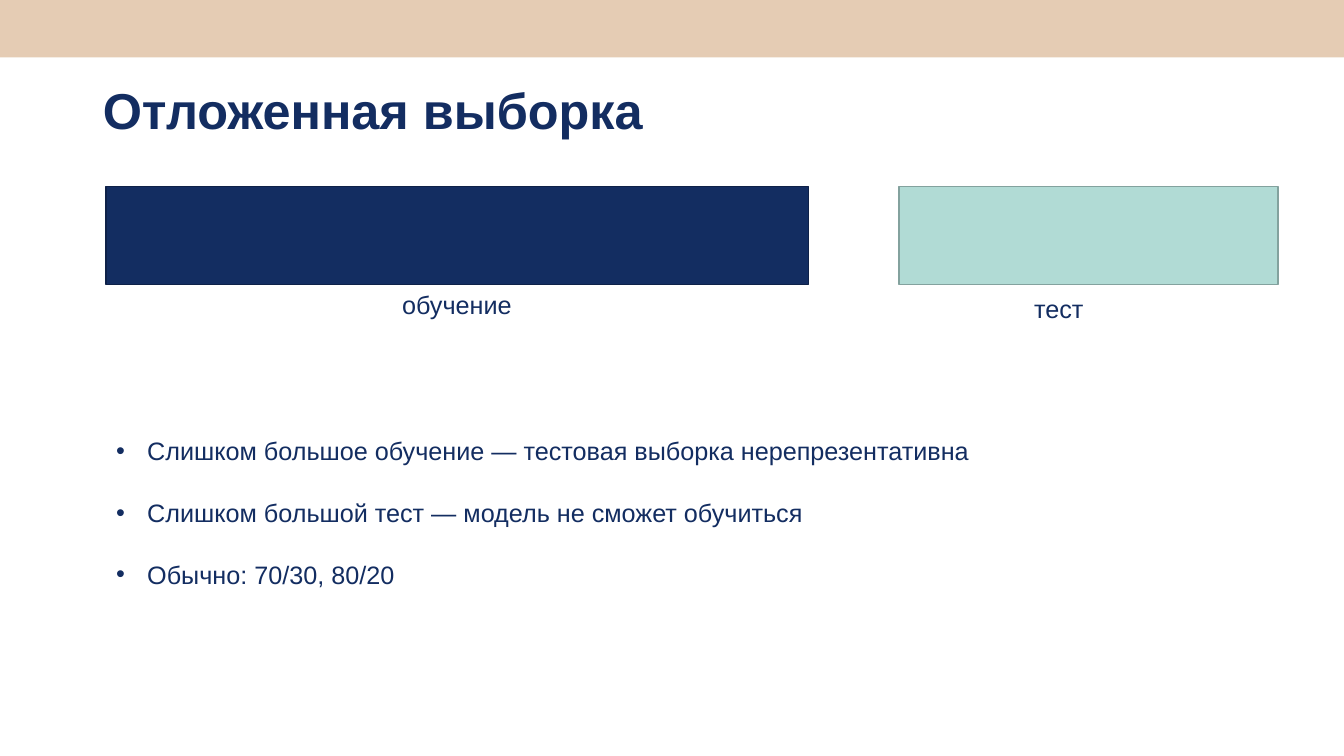
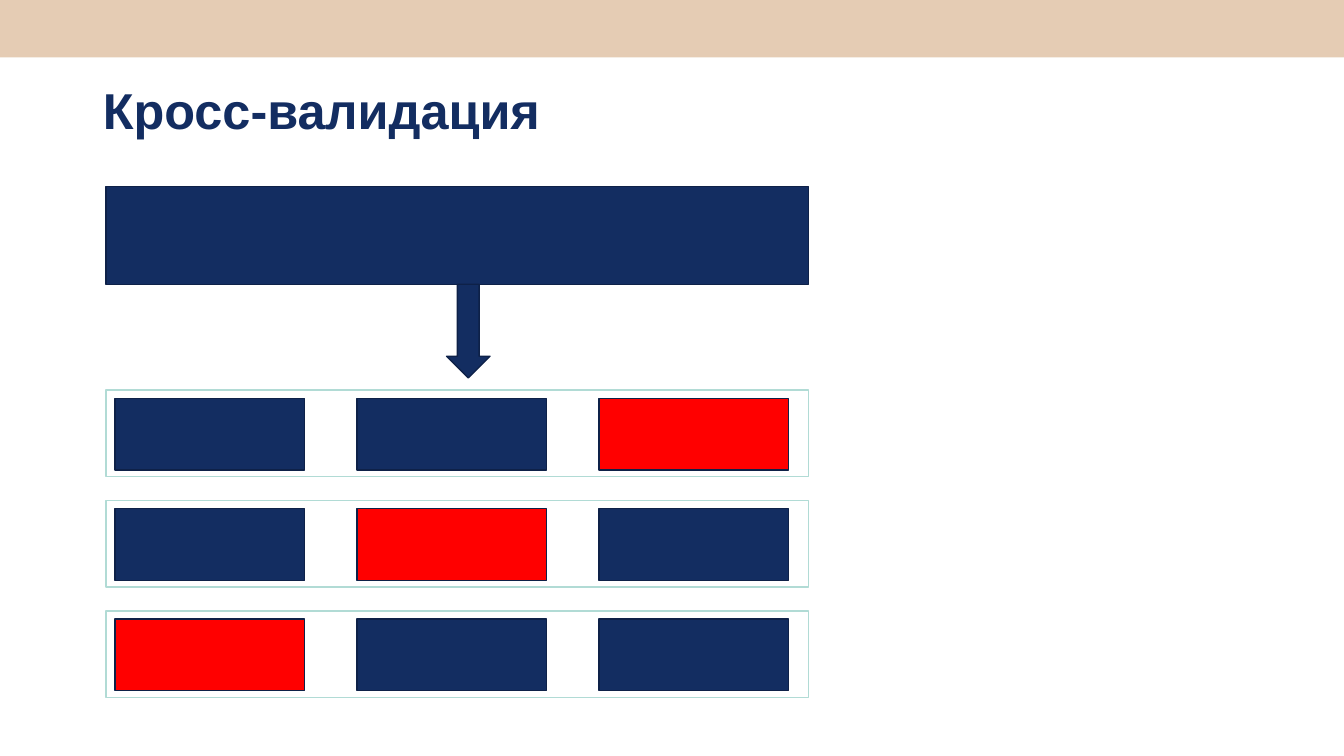
from lxml import etree
from pptx import Presentation
from pptx import util as u
from pptx.dml.color import RGBColor
from pptx.enum import shapes, text
from pptx.oxml.ns import qn

COLORS = {
    "navy": "132D61", "navy_edge": "0E2148",
    "mint": "B1DBD5", "mint_edge": "83A29E",
    "sand": "E5CCB4", "red": "FF0000", "white": "FFFFFF",
}
FONT = "Arial"
SLIDE_W, SLIDE_H = u.Inches(13.333), u.Inches(7.5)

# Shared grid, in percent of the slide's width (left, width) and height (top, height)
LEFT, BAR_W = 7.88, 52.28
BAR_TOP, BAR_H = 24.67, 12.93
BAR_BOTTOM = BAR_TOP + BAR_H
BAR = (LEFT, BAR_TOP, BAR_W, BAR_H)
TITLE = (6.9, 5.33, 86.25, 19.33)

# Cross-validation grid
FOLDS = 3
FOLD_TOP, FOLD_H, FOLD_PITCH = 51.6, 11.47, 14.6
PART_W, PART_H, PART_PITCH = 14.1, 9.47, 18
PART_INSET_X, PART_INSET_Y = 0.68, 1.1


def color(name):
    return RGBColor.from_string(COLORS[name])


def area(left, top, width, height):
    """Turn percentages of the slide into lengths."""
    return (int(SLIDE_W * left / 100), int(SLIDE_H * top / 100),
            int(SLIDE_W * width / 100), int(SLIDE_H * height / 100))


def move(placeholder, box):
    (placeholder.left, placeholder.top,
     placeholder.width, placeholder.height) = area(*box)


def style(paragraph, size, bold=False):
    for run in paragraph.runs:
        run.font.name = FONT
        run.font.size = u.Pt(size)
        run.font.bold = bold
        run.font.color.rgb = color("navy")


def add_block(slide, box, fill="navy", edge="navy_edge",
              kind=shapes.MSO_SHAPE.RECTANGLE):
    block = slide.shapes.add_shape(kind, *area(*box))
    block.shadow.inherit = False
    block.fill.solid()
    block.fill.fore_color.rgb = color(fill)
    if edge:
        block.line.color.rgb = color(edge)
        block.line.width = u.Pt(1)
    else:
        block.line.fill.background()
    return block


def add_label(slide, box, caption):
    frame = slide.shapes.add_textbox(*area(*box)).text_frame
    frame.word_wrap = True
    frame.text = caption
    style(frame.paragraphs[0], 18)


def add_titled_slide(prs, layout_name, title):
    slide = prs.slides.add_slide(prs.slide_layouts.get_by_name(layout_name))
    move(slide.shapes.title, TITLE)
    frame = slide.shapes.title.text_frame
    frame.text = title
    frame.auto_size = text.MSO_AUTO_SIZE.NONE
    frame.vertical_anchor = text.MSO_ANCHOR.MIDDLE
    heading = frame.paragraphs[0]
    heading.alignment = text.PP_ALIGN.LEFT
    heading.line_spacing = 0.9
    style(heading, 36, bold=True)
    return slide


def fill_list(placeholder, box, items):
    move(placeholder, box)
    frame = placeholder.text_frame
    frame.text = "\n".join(items)
    frame.auto_size = text.MSO_AUTO_SIZE.NONE
    indent = u.Inches(0.31)
    for number, item in enumerate(frame.paragraphs):
        item.space_before = u.Pt(22.5 if number else 0)
        properties = item._p.get_or_add_pPr()
        properties.set("marL", str(indent))
        properties.set("indent", str(-indent))
        etree.SubElement(properties, qn("a:buFont")).set("typeface", FONT)
        etree.SubElement(properties, qn("a:buChar")).set("char", "•")
        style(item, 18)


def add_master_band(prs, slide):
    """Draw the top band and hand it to the master, behind everything else."""
    band = add_block(slide, (0, 0, 100, 7.6), "sand", edge=None)
    band.element.nvSpPr.cNvPr.set("id", "100")
    prs.slide_master.shapes.element.insert(2, band.element)


def add_fold(slide, fold):
    top = FOLD_TOP + fold * FOLD_PITCH
    add_block(slide, (LEFT, top, BAR_W, FOLD_H), "white", "mint")
    test_part = FOLDS - 1 - fold
    for part in range(FOLDS):
        left = LEFT + PART_INSET_X + part * PART_PITCH
        add_block(slide, (left, top + PART_INSET_Y, PART_W, PART_H),
                  "red" if part == test_part else "navy")


def build_holdout(prs):
    slide = add_titled_slide(prs, "Title and Content", "Отложенная выборка")
    add_block(slide, BAR)
    add_block(slide, (66.9, BAR_TOP, 28.2, BAR_H), "mint", "mint_edge")
    add_label(slide, (29.18, BAR_BOTTOM, 11, 5.33), "обучение")
    add_label(slide, (76.2, BAR_BOTTOM + 0.5, 11, 5.33), "тест")
    fill_list(slide.placeholders[1], (LEFT, 56.93, 68.25, 21.6), [
        "Слишком большое обучение — тестовая выборка нерепрезентативна",
        "Слишком большой тест — модель не сможет обучиться",
        "Обычно: 70/30, 80/20",
    ])
    return slide


def build_cross_validation(prs):
    slide = add_titled_slide(prs, "Title Only", "Кросс-валидация")
    add_block(slide, BAR)
    add_block(slide, (33.23, BAR_BOTTOM, 3.23, 12.4),
              kind=shapes.MSO_SHAPE.DOWN_ARROW)
    for fold in range(FOLDS):
        add_fold(slide, fold)


def main():
    prs = Presentation()
    prs.slide_width, prs.slide_height = SLIDE_W, SLIDE_H
    holdout = build_holdout(prs)
    add_master_band(prs, holdout)
    build_cross_validation(prs)
    prs.save("out.pptx")


if __name__ == "__main__":
    main()
